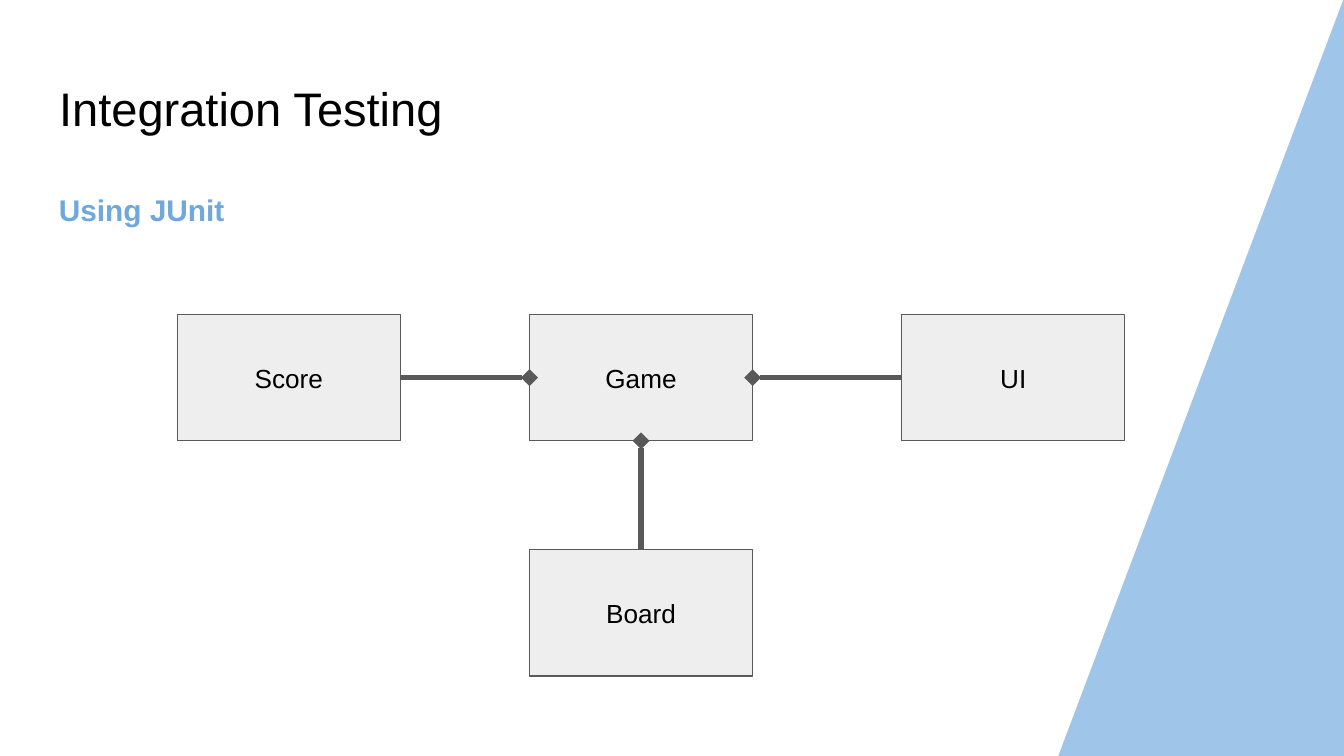
"""Build the Integration Testing slide with its class diagram."""
import pptx
import pptx.dml.color
import pptx.enum.shapes
import pptx.enum.text
import pptx.oxml.ns
import pptx.util
from lxml import etree

Inches = pptx.util.Inches
Pt = pptx.util.Pt
Anchor = pptx.enum.text.MSO_ANCHOR
Align = pptx.enum.text.PP_ALIGN
Shape = pptx.enum.shapes.MSO_SHAPE
qn = pptx.oxml.ns.qn

WIDTH = 10
HEIGHT = WIDTH * 9 / 16
BOX_WIDTH, BOX_HEIGHT = 1.66, 0.94
UPPER_ROW, LOWER_ROW = 2.34, 4.09
TOP, LEFT, BOTTOM, RIGHT = range(4)


def color(value):
    return pptx.dml.color.RGBColor.from_string(value)


def write(shape, text, size, ink="000000", bold=False, align=Align.LEFT,
          anchor=Anchor.TOP, spacing=1.0):
    frame = shape.text_frame
    frame.word_wrap = True
    frame.auto_size = pptx.enum.text.MSO_AUTO_SIZE.NONE
    frame.vertical_anchor = anchor
    frame.margin_left = frame.margin_right = Inches(0.1)
    frame.margin_top = frame.margin_bottom = Inches(0.1)
    paragraph = frame.paragraphs[0]
    paragraph.alignment = align
    paragraph.line_spacing = spacing
    run = paragraph.add_run()
    run.text = text
    run.font.name = "Arial"
    run.font.size = Pt(size)
    run.font.bold = bold
    run.font.color.rgb = color(ink)


class Diagram:
    accent, heading = "9FC5E8", "6FA8DC"
    box_fill, outline = "EEEEEE", "595959"

    def __init__(self, slide):
        self.slide = slide

    def title(self, text):
        title = self.slide.shapes.title
        title.left, title.top = Inches(0.34), Inches(0.49)
        title.width, title.height = Inches(9.32), Inches(0.63)
        write(title, text, 25.2, anchor=Anchor.MIDDLE)

    def subtitle(self, text):
        shape = self.slide.shapes.add_textbox(
            Inches(0.34), Inches(1.29), Inches(4.13), Inches(3.73))
        write(shape, text, 16, ink=self.heading, bold=True, spacing=1.15)

    def shape(self, kind, left, top, width, height, fill, line):
        shape = self.slide.shapes.add_shape(
            kind, Inches(left), Inches(top), Inches(width), Inches(height))
        shape.shadow.inherit = False
        shape.fill.solid()
        shape.fill.fore_color.rgb = color(fill)
        shape.line.color.rgb = color(line)
        shape.line.width = Pt(0.75)
        return shape

    def corner(self, width):
        triangle = self.shape(Shape.RIGHT_TRIANGLE, WIDTH - width, 0, width,
                              HEIGHT, self.accent, self.accent)
        triangle._element.spPr.get_or_add_xfrm().set("flipH", "1")

    def box(self, text, left, top):
        box = self.shape(Shape.RECTANGLE, left, top, BOX_WIDTH, BOX_HEIGHT,
                         self.box_fill, self.outline)
        write(box, text, 14, align=Align.CENTER, anchor=Anchor.MIDDLE)
        return box

    def aggregation(self, part, part_side, whole, whole_side):
        connector = self.slide.shapes.add_connector(
            pptx.enum.shapes.MSO_CONNECTOR.STRAIGHT, 0, 0, 0, 0)
        connector.begin_connect(part, part_side)
        connector.end_connect(whole, whole_side)
        connector.line.color.rgb = color(self.outline)
        connector.line.width = Pt(3)
        etree.SubElement(connector.line._get_or_add_ln(), qn("a:tailEnd"),
                         type="diamond")
        etree.SubElement(connector._element.spPr, qn("a:effectLst"))


def main():
    presentation = pptx.Presentation()
    presentation.slide_width = Inches(WIDTH)
    presentation.slide_height = Inches(HEIGHT)
    slide = presentation.slides.add_slide(presentation.slide_layouts[5])
    diagram = Diagram(slide)

    diagram.corner(2.12)
    diagram.title("Integration Testing")
    diagram.subtitle("Using JUnit")

    game = diagram.box("Game", 3.94, UPPER_ROW)
    board = diagram.box("Board", 3.94, LOWER_ROW)
    interface = diagram.box("UI", 6.71, UPPER_ROW)
    score = diagram.box("Score", 1.32, UPPER_ROW)

    diagram.aggregation(score, RIGHT, game, LEFT)
    diagram.aggregation(board, TOP, game, BOTTOM)
    diagram.aggregation(interface, LEFT, game, RIGHT)

    presentation.save("out.pptx")


if __name__ == "__main__":
    main()
